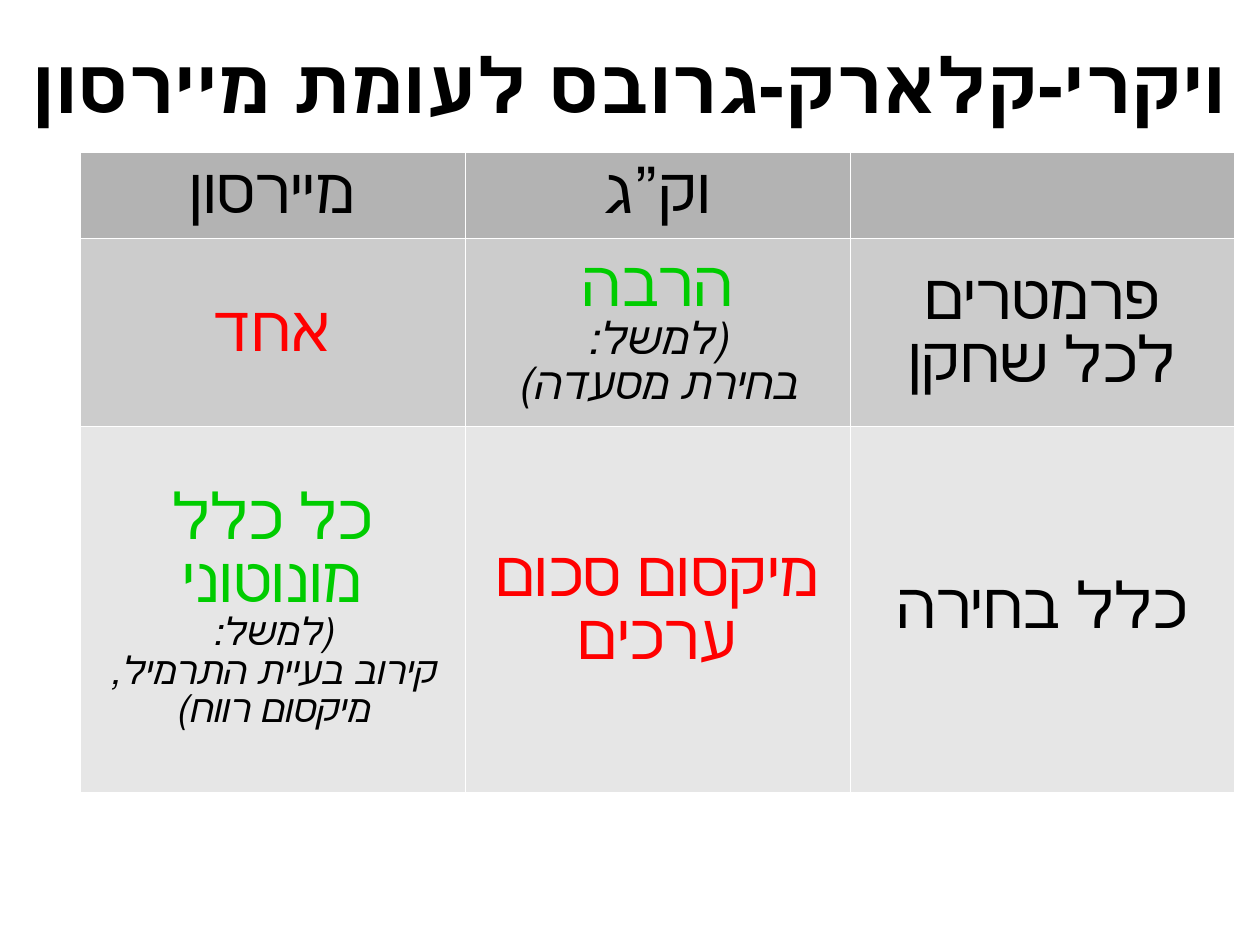
import pptx
import pptx.util
import pptx.dml.color
import pptx.enum.text
import pptx.oxml
import pptx.oxml.ns
from pptx.util import Inches

BLACK, RED, GREEN = "000000", "FF0000", "00CC00"


def color(hex_string):
    return pptx.dml.color.RGBColor.from_string(hex_string)


def format_hebrew(paragraph, size, text_color, bold=False, italic=False):
    paragraph.alignment = pptx.enum.text.PP_ALIGN.CENTER
    paragraph._p.get_or_add_pPr().set("rtl", "1")
    font = paragraph.font
    font.name = "Arial"
    font.size = pptx.util.Pt(size)
    font.bold = bold
    font.italic = italic
    font.color.rgb = color(text_color)


presentation = pptx.Presentation()
presentation.slide_width = Inches(28 / 2.54)
presentation.slide_height = Inches(21 / 2.54)
slide = presentation.slides.add_slide(presentation.slide_layouts[5])

title = slide.shapes.title
title.left, title.top = Inches(0), Inches(0.14)
title.width, title.height = Inches(11.02), Inches(1.18)
frame = title.text_frame
frame.text = "ויקרי-קלארק-גרובס לעומת מיירסון"
frame.word_wrap = True
frame.auto_size = pptx.enum.text.MSO_AUTO_SIZE.NONE
frame.vertical_anchor = pptx.enum.text.MSO_ANCHOR.MIDDLE
frame.margin_left = frame.margin_right = frame.margin_top = frame.margin_bottom = 0
format_hebrew(frame.paragraphs[0], 48, BLACK, bold=True)

row_heights = [0.75, 1.65, 3.2]
row_fills = ["B3B3B3", "CCCCCC", "E6E6E6"]
comparison = [
    [
        [("מיירסון", 40, BLACK)],
        [("וק”ג", 40, BLACK)],
        [],
    ],
    [
        [("אחד", 40, RED)],
        [("הרבה", 40, GREEN), ("(למשל:\nבחירת מסעדה)", 28, BLACK)],
        [("פרמטרים לכל שחקן", 40, BLACK)],
    ],
    [
        [("כל כלל מונוטוני", 40, GREEN),
         ("(למשל:\nקירוב בעיית התרמיל, מיקסום רווח)", 24, BLACK)],
        [("מיקסום סכום ערכים", 40, RED)],
        [("כלל בחירה", 40, BLACK)],
    ],
]

table = slide.shapes.add_table(
    3, 3, Inches(0.7), Inches(1.33), Inches(10.1), Inches(5.6)).table
table.first_row = False
table.horz_banding = False
for column in table.columns:
    column.width = Inches(10.1 / 3)

for row_index, row_content in enumerate(comparison):
    table.rows[row_index].height = Inches(row_heights[row_index])
    for column_index, cell_content in enumerate(row_content):
        cell = table.cell(row_index, column_index)
        cell.vertical_anchor = pptx.enum.text.MSO_ANCHOR.MIDDLE
        cell.fill.solid()
        cell.fill.fore_color.rgb = color(row_fills[row_index])
        cell_properties = cell._tc.get_or_add_tcPr()
        for position, side in enumerate(["lnL", "lnR", "lnT", "lnB"]):
            border = pptx.oxml.parse_xml(
                f'<a:{side} {pptx.oxml.ns.nsdecls("a")} w="{pptx.util.Pt(0.06)}">'
                f'<a:solidFill><a:srgbClr val="FFFFFF"/></a:solidFill></a:{side}>')
            cell_properties.insert(position, border)
        for paragraph_index, (text, size, text_color) in enumerate(cell_content):
            if paragraph_index == 0:
                paragraph = cell.text_frame.paragraphs[0]
            else:
                paragraph = cell.text_frame.add_paragraph()
            paragraph.text = text
            format_hebrew(paragraph, size, text_color, italic=size < 40)

presentation.save("out.pptx")
